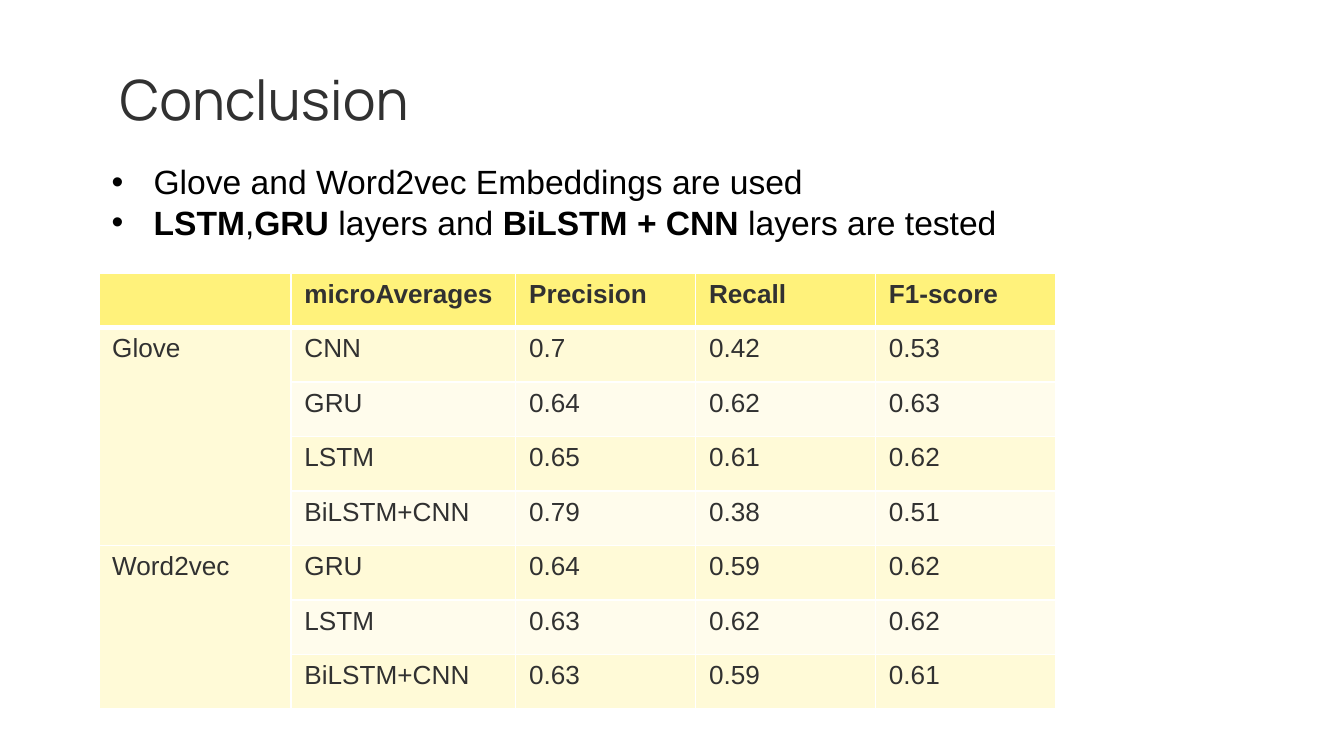
from lxml import etree
from pptx import Presentation
from pptx import util as u
from pptx.dml import color
from pptx.enum import text
from pptx.oxml import ns

COLORS = {
    "ink": "313131",
    "black": "000000",
    "border": "FFFFFF",
    "header": "FFF27B",
    "dark_band": "FFFAD7",
    "light_band": "FFFCEC",
}


def set_font(font, name, size, ink):
    font.name = name
    font.size = u.Pt(size)
    font.color.rgb = color.RGBColor.from_string(COLORS[ink])


def add_element(parent, tag, position=None, **attributes):
    element = etree.Element(ns.qn(tag), attributes)
    parent.insert(len(parent) if position is None else position, element)
    return element


presentation = Presentation()
presentation.slide_width = u.Pt(720)
presentation.slide_height = u.Pt(405)
slide = presentation.slides.add_slide(presentation.slide_layouts[1])

title = slide.shapes.title
title.left, title.top, title.width, title.height = u.Pt(56.9), u.Pt(30.2), u.Pt(499.7), u.Pt(45.4)
frame = title.text_frame
frame.text = "Conclusion"
frame.auto_size = text.MSO_AUTO_SIZE.NONE
frame.vertical_anchor = text.MSO_ANCHOR.MIDDLE
frame.margin_left = frame.margin_right = frame.margin_top = frame.margin_bottom = u.Pt(7.2)
paragraph = frame.paragraphs[0]
paragraph.alignment = text.PP_ALIGN.LEFT
set_font(paragraph.font, "Manrope", 29.7, "ink")

points = [
    [("Glove and Word2vec Embeddings are used", False)],
    [
        ("LSTM", True),
        (",", False),
        ("GRU ", True),
        ("layers and ", False),
        ("BiLSTM + CNN ", True),
        ("layers are tested", False),
    ],
]
body = slide.placeholders[1]
body.left, body.top, body.width, body.height = u.Pt(52.6), u.Pt(82.8), u.Pt(567.4), u.Pt(85)
frame = body.text_frame
frame.auto_size = text.MSO_AUTO_SIZE.NONE
for index, runs in enumerate(points):
    paragraph = frame.add_paragraph() if index else frame.paragraphs[0]
    properties = paragraph._p.get_or_add_pPr()
    properties.set("marL", str(u.Pt(22.5)))
    properties.set("indent", str(u.Pt(-22.5)))
    bullet_color = add_element(properties, "a:buClr")
    add_element(bullet_color, "a:srgbClr", val=COLORS["black"])
    add_element(properties, "a:buFont", typeface="Arial")
    add_element(properties, "a:buChar", char="•")
    paragraph.space_before = u.Pt(0)
    set_font(paragraph.font, "Arial", 18, "black")
    for words, bold in runs:
        run = paragraph.add_run()
        run.text = words
        run.font.bold = bold

rows = [
    ["", "microAverages", "Precision", "Recall", "F1-score"],
    ["Glove", "CNN", "0.7", "0.42", "0.53"],
    ["", "GRU", "0.64", "0.62", "0.63"],
    ["", "LSTM", "0.65", "0.61", "0.62"],
    ["", "BiLSTM+CNN", "0.79", "0.38", "0.51"],
    ["Word2vec", "GRU", "0.64", "0.59", "0.62"],
    ["", "LSTM", "0.63", "0.62", "0.62"],
    ["", "BiLSTM+CNN", "0.63", "0.59", "0.61"],
]
widths = [103, 120.4, 96.4, 96.4, 96.4]
row_height = 29.2
table = slide.shapes.add_table(
    len(rows), len(widths), u.Pt(52.9), u.Pt(146.2), u.Pt(sum(widths)), u.Pt(row_height * len(rows))
).table
table.horz_banding = False
for column, width in zip(table.columns, widths):
    column.width = u.Pt(width)

for row_index, values in enumerate(rows):
    table.rows[row_index].height = u.Pt(row_height)
    band = "dark_band" if row_index % 2 else "light_band"
    for column_index, value in enumerate(values):
        cell = table.cell(row_index, column_index)
        fill = "header" if row_index == 0 else "dark_band" if column_index == 0 else band
        cell.fill.solid()
        cell.fill.fore_color.rgb = color.RGBColor.from_string(COLORS[fill])
        cell.text = value
        paragraph = cell.text_frame.paragraphs[0]
        set_font(paragraph.font, "Arial", 14, "ink")
        paragraph.font.bold = row_index == 0
        thick_side = {0: "B", 1: "T"}.get(row_index)
        for position, side in enumerate("LRTB"):
            line_width = u.Pt(3 if side == thick_side else 1)
            line = add_element(cell._tc.get_or_add_tcPr(), f"a:ln{side}", position, w=str(line_width))
            line_fill = add_element(line, "a:solidFill")
            add_element(line_fill, "a:srgbClr", val=COLORS["border"])

for first, last in [(1, 4), (5, 7)]:
    table.cell(first, 0).merge(table.cell(last, 0))

presentation.save("out.pptx")
